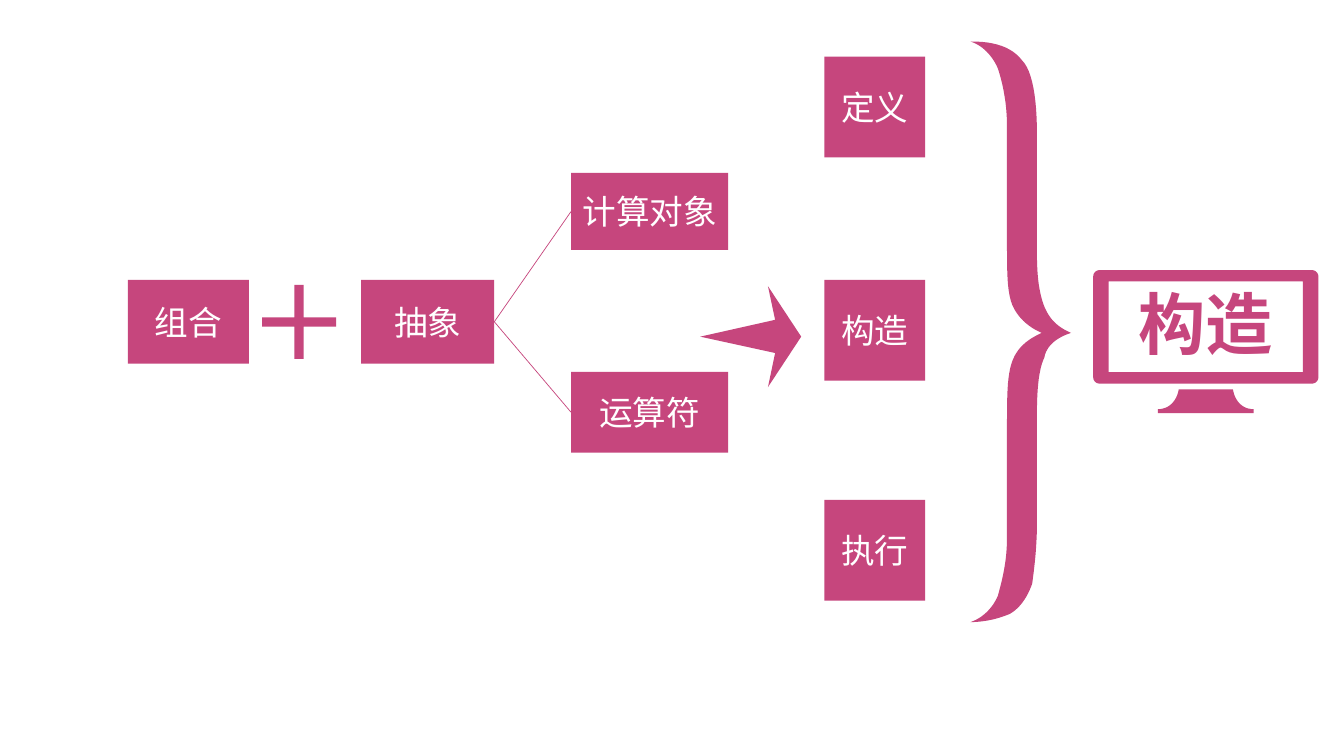
import pptx
import pptx.util
import pptx.dml.color
import pptx.enum.shapes
import pptx.enum.text
import pptx.oxml

Pt = pptx.util.Pt
SHAPES = pptx.enum.shapes.MSO_SHAPE
PINK = pptx.dml.color.RGBColor(0xC6, 0x46, 0x7D)
WHITE = pptx.dml.color.RGBColor(0xFF, 0xFF, 0xFF)

COMBINE = ("组合", 91.4, 200, 86.5, 59.7)
ABSTRACT = ("抽象", 257.9, 200, 95.2, 59.7)
BRANCHES = [
    ("计算对象", 407.9, 123.6, 112.3, 55),
    ("运算符", 407.9, 265.6, 112.3, 57.7),
]
STAGES = [("定义", 40.4), ("构造", 200), ("执行", 357.1)]
STAGE_LEFT, STAGE_SIZE = 588.9, 72
RESULT = "构造"
PLUS = (177.7, 194, 72, 72)
PLUS_THICKNESS = 0.092
ARROW = [(548.6, 204.5), (572.3, 240.5), (548.6, 276.5),
         (553.7, 252.2), (500.2, 240.5), (553.7, 228.5)]
SCREEN_OUTER = (780.9, 193, 160.8, 81)
SCREEN_INNER = (792, 201.1, 138.6, 64.8)
CORNER = 4.5
STAND = [
    (842, 278.2), (880.7, 278.2),
    (882, 286, 887, 292.3, 895.5, 292.3),
    (895.5, 295.1), (827, 295.1), (827, 292.3),
    (835.5, 292.3, 840.6, 286, 842, 278.2),
]
BRACE = [
    (719.3, 90),
    (719.3, 72.7, 715.7, 57.6, 712.8, 49),
    (709.2, 40.3, 702, 32.4, 693.2, 29.7),
    (710.6, 29.5, 722.9, 33.8, 730.1, 43.2),
    (737.3, 50.4, 740.7, 69.8, 740.7, 96.5),
    (740.7, 182.2),
    (740.7, 198, 742.3, 209.5, 745.9, 218.9),
    (749.5, 227.5, 754.6, 233.3, 765, 237.8),
    (754.6, 241.2, 747.4, 247, 745.9, 255.6),
    (742.3, 262.8, 740.7, 276.5, 740.7, 293.8),
    (740.7, 372.2),
    (740.7, 391.7, 738.7, 406.1, 737.3, 416.9),
    (733.7, 427, 728.6, 434.2, 721.4, 438.5),
    (714.2, 441.4, 705.6, 444.2, 693.2, 444.4),
    (702, 441.4, 709.2, 434.2, 712.8, 425.5),
    (715.7, 414.7, 719.3, 401.8, 719.3, 383.8),
    (719.3, 304.6),
    (719.3, 283.7, 719.3, 268.6, 722.9, 258.5),
    (726.5, 248.4, 733.7, 242.6, 744.1, 237.8),
    (733.7, 233.3, 726.5, 226.1, 722.9, 217.4),
    (719.3, 208.1, 719.3, 193.7, 719.3, 174.2),
]


def flatten(outline, steps=12):
    points = []
    for part in outline:
        if len(part) == 2:
            points.append(part)
            continue
        controls = [points[-1], part[:2], part[2:4], part[4:]]
        for step in range(1, steps + 1):
            t = step / steps
            weights = ((1 - t) ** 3, 3 * t * (1 - t) ** 2, 3 * t * t * (1 - t), t ** 3)
            points.append(tuple(sum(w * c[axis] for w, c in zip(weights, controls))
                                for axis in (0, 1)))
    return points


def rounded(left, top, width, height, radius=0):
    right, bottom = left + width, top + height
    if not radius:
        return [(left, top), (right, top), (right, bottom), (left, bottom)]
    near = radius * 0.45
    return [
        (left + radius, top), (right - radius, top),
        (right - near, top, right, top + near, right, top + radius),
        (right, bottom - radius),
        (right, bottom - near, right - near, bottom, right - radius, bottom),
        (left + radius, bottom),
        (left + near, bottom, left, bottom - near, left, bottom - radius),
        (left, top + radius),
        (left, top + near, left + near, top, left + radius, top),
    ]


def paint(shape):
    shape.shadow.inherit = False
    shape.fill.solid()
    shape.fill.fore_color.rgb = PINK
    shape.line.fill.background()
    return shape


def add_preset(page, kind, left, top, width, height):
    return paint(page.shapes.add_shape(kind, Pt(left), Pt(top), Pt(width), Pt(height)))


def add_outline(page, *outlines):
    builder = None
    for outline in outlines:
        points = [(Pt(x), Pt(y)) for x, y in flatten(outline)]
        if builder is None:
            builder = page.shapes.build_freeform(*points[0], scale=1.0)
        else:
            builder.move_to(*points[0])
        builder.add_line_segments(points[1:], close=True)
    return paint(builder.convert_to_shape())


def write(shape, text, size=24, font="Arial", color=WHITE, bold=False, bottom=3.6):
    frame = shape.text_frame
    frame.word_wrap = True
    frame.vertical_anchor = pptx.enum.text.MSO_ANCHOR.MIDDLE
    frame.margin_left = frame.margin_right = Pt(7.2)
    frame.margin_top, frame.margin_bottom = Pt(3.6), Pt(bottom)
    para = frame.paragraphs[0]
    para.alignment = pptx.enum.text.PP_ALIGN.CENTER
    span = para.add_run()
    span.text = text
    span.font.size = Pt(size)
    span.font.name = font
    span.font.bold = bold
    span.font.color.rgb = color


def add_branch_line(page, source, target):
    start_x, start_y = source[1] + source[3], source[2] + source[4] / 2
    end_x, end_y = target[1], target[2] + target[4] / 2
    line = page.shapes.add_connector(
        pptx.enum.shapes.MSO_CONNECTOR.STRAIGHT,
        Pt(start_x), Pt(start_y), Pt(end_x), Pt(end_y))
    line.line.color.rgb = PINK
    line.line.width = Pt(0.5)
    line._element.spPr.append(pptx.oxml.parse_xml(
        '<a:effectLst xmlns:a="http://schemas.openxmlformats.org/drawingml/2006/main"/>'))


def main():
    deck = pptx.Presentation()
    deck.slide_width, deck.slide_height = Pt(960), Pt(540)
    page = deck.slides.add_slide(deck.slide_layouts[6])

    stages = [(text, STAGE_LEFT, top, STAGE_SIZE, STAGE_SIZE) for text, top in STAGES]
    for text, *place in [COMBINE, ABSTRACT, *BRANCHES, *stages]:
        write(add_preset(page, SHAPES.RECTANGLE, *place), text)

    add_outline(page, BRACE)
    monitor = add_outline(page, STAND, rounded(*SCREEN_INNER),
                          rounded(*SCREEN_OUTER, radius=CORNER))
    write(monitor, RESULT, size=48, font="Calibri", color=PINK, bold=True, bottom=31)

    plus = add_preset(page, SHAPES.MATH_PLUS, *PLUS)
    plus.adjustments[0] = PLUS_THICKNESS
    for branch in BRANCHES:
        add_branch_line(page, ABSTRACT, branch)
    add_outline(page, ARROW)

    deck.save("out.pptx")


if __name__ == "__main__":
    main()
